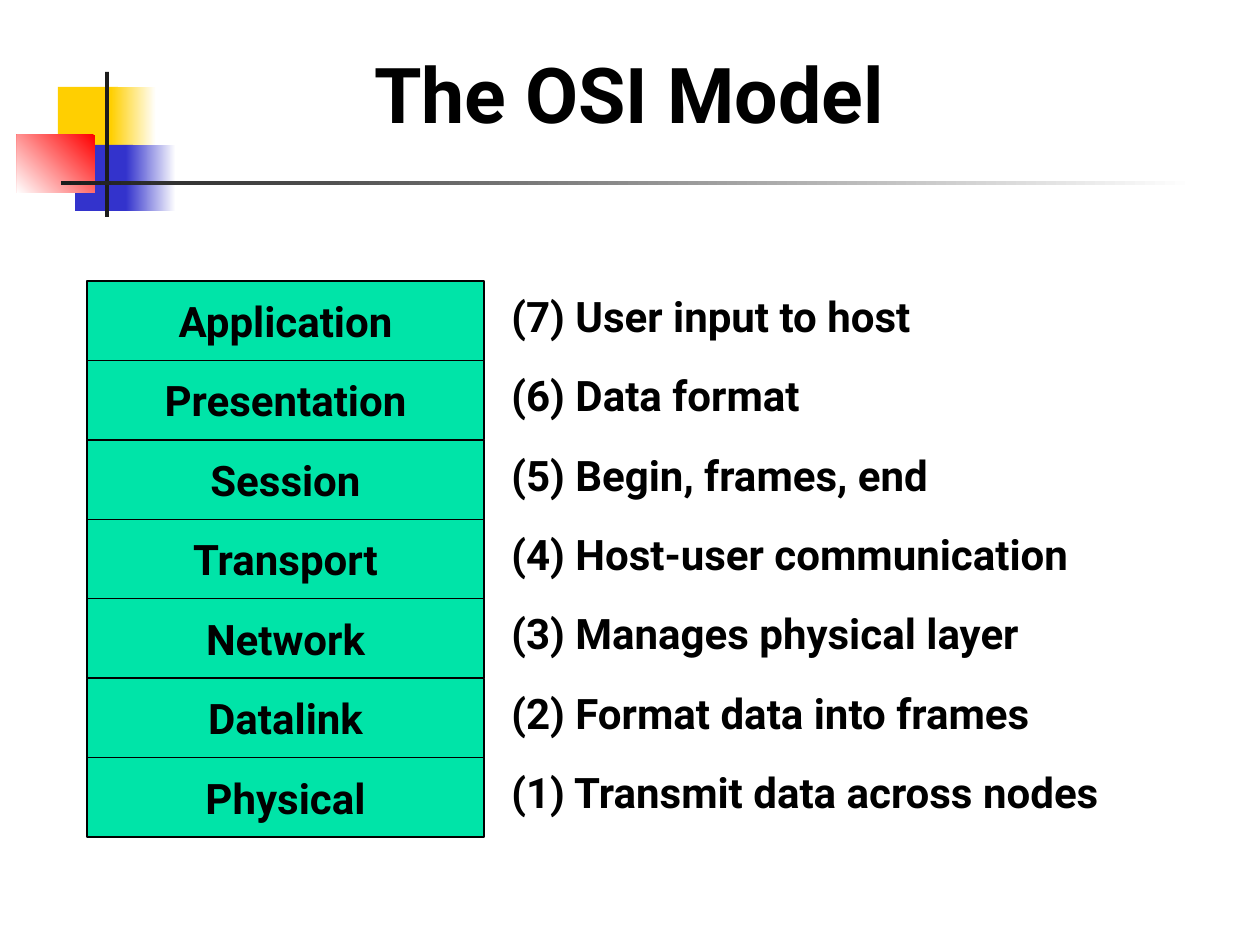
from pptx import Presentation
from pptx.dml.color import RGBColor
from pptx.enum.shapes import MSO_SHAPE
from pptx.enum.text import MSO_ANCHOR, MSO_AUTO_SIZE, PP_ALIGN
from pptx.util import Pt

RECT = MSO_SHAPE.RECTANGLE
MIDDLE, BOTTOM = MSO_ANCHOR.MIDDLE, MSO_ANCHOR.BOTTOM
GROW = MSO_AUTO_SIZE.SHAPE_TO_FIT_TEXT
LEFT, CENTER = PP_ALIGN.LEFT, PP_ALIGN.CENTER

BLACK = RGBColor(0x00, 0x00, 0x00)
WHITE = RGBColor(0xFF, 0xFF, 0xFF)
YELLOW = RGBColor(0xFF, 0xCF, 0x01)
BLUE = RGBColor(0x33, 0x33, 0xCC)
RED = RGBColor(0xFF, 0x00, 0x00)
DARK = RGBColor(0x1C, 0x1C, 0x1C)
GREEN = RGBColor(0x00, 0xE4, 0xA8)

FONT = "Roboto"
SCALE = 914400 / 126

LAYERS = [
    ("Application", "User input to host", 467),
    ("Presentation", "Data format", 345),
    ("Session", "Begin, frames, end", 481),
    ("Transport", "Host-user communication", 633),
    ("Network", "Manages physical layer", 578),
    ("Datalink", "Format data into frames", 602),
    ("Physical", "Transmit data across nodes", 665),
]


def px(*sizes):
    return [round(size * SCALE) for size in sizes]


def write(frame, text, size, align, anchor):
    frame.text = text
    frame.vertical_anchor = anchor
    para = frame.paragraphs[0]
    para.alignment = align
    font = para.font
    font.name, font.size, font.bold = FONT, Pt(size), True
    font.color.rgb = BLACK


def add_rect(shapes, box, color, angle=None):
    rect = shapes.add_shape(RECT, *px(*box))
    rect.shadow.inherit = False
    rect.line.fill.background()
    if angle is None:
        rect.fill.solid()
        rect.fill.fore_color.rgb = color
    else:
        rect.fill.gradient()
        rect.fill.gradient_angle = angle
        for stop, shade in zip(rect.fill.gradient_stops, (color, WHITE)):
            stop.color.rgb = shade
    return rect


def add_motif(shapes, x, y):
    parts = [
        (41, 15, 60, 66, YELLOW, None),
        (94, 15, 45, 66, YELLOW, 0),
        (58, 73, 58, 66, BLUE, None),
        (109, 73, 50, 66, BLUE, 0),
        (0, 63, 78, 58, RED, 225),
        (88, 0, 4, 145, DARK, None),
        (44, 109, 1134, 4, DARK, 0),
    ]
    for left, top, wide, high, color, angle in parts:
        add_rect(shapes, (x + left, y + top, wide, high), color, angle)


def add_title(slide, x, y, wide, high):
    title = slide.shapes.title
    title.left, title.top, title.width, title.height = px(x, y, wide, high)
    frame = title.text_frame
    frame.margin_left = frame.margin_right = 0
    frame.margin_top = frame.margin_bottom = 0
    write(frame, "The OSI Model", 44, CENTER, BOTTOM)
    frame.auto_size = GROW


def add_stack(shapes, x, y, wide, high):
    row = high / len(LAYERS)
    group = shapes.add_group_shape().shapes
    for i, (name, _, _) in enumerate(LAYERS):
        cell = add_rect(group, (x, y + i * row, wide, row), GREEN)
        cell.line.color.rgb = BLACK
        cell.line.width = Pt(0.75)
        cell.text_frame.word_wrap = False
        write(cell.text_frame, name, 24, CENTER, MIDDLE)


def add_notes(shapes, x, y, high):
    count = len(LAYERS)
    row = high / count
    group = shapes.add_group_shape().shapes
    for i, (_, role, wide) in enumerate(LAYERS):
        note = group.add_textbox(*px(x, y + i * row, wide, 63))
        frame = note.text_frame
        frame.word_wrap = False
        write(frame, f"({count - i}) {role}", 24, LEFT, MIDDLE)
        frame.auto_size = GROW


def main():
    deck = Presentation()
    deck.slide_width, deck.slide_height = px(1260, 945)
    slide = deck.slides.add_slide(deck.slide_layouts[5])
    add_motif(slide.shapes, 17, 72)
    add_title(slide, 53, 47, 1153, 92)
    add_stack(slide.shapes, 87, 281, 397, 556)
    add_notes(slide.shapes, 499, 284, 556)
    deck.save("out.pptx")


if __name__ == "__main__":
    main()
